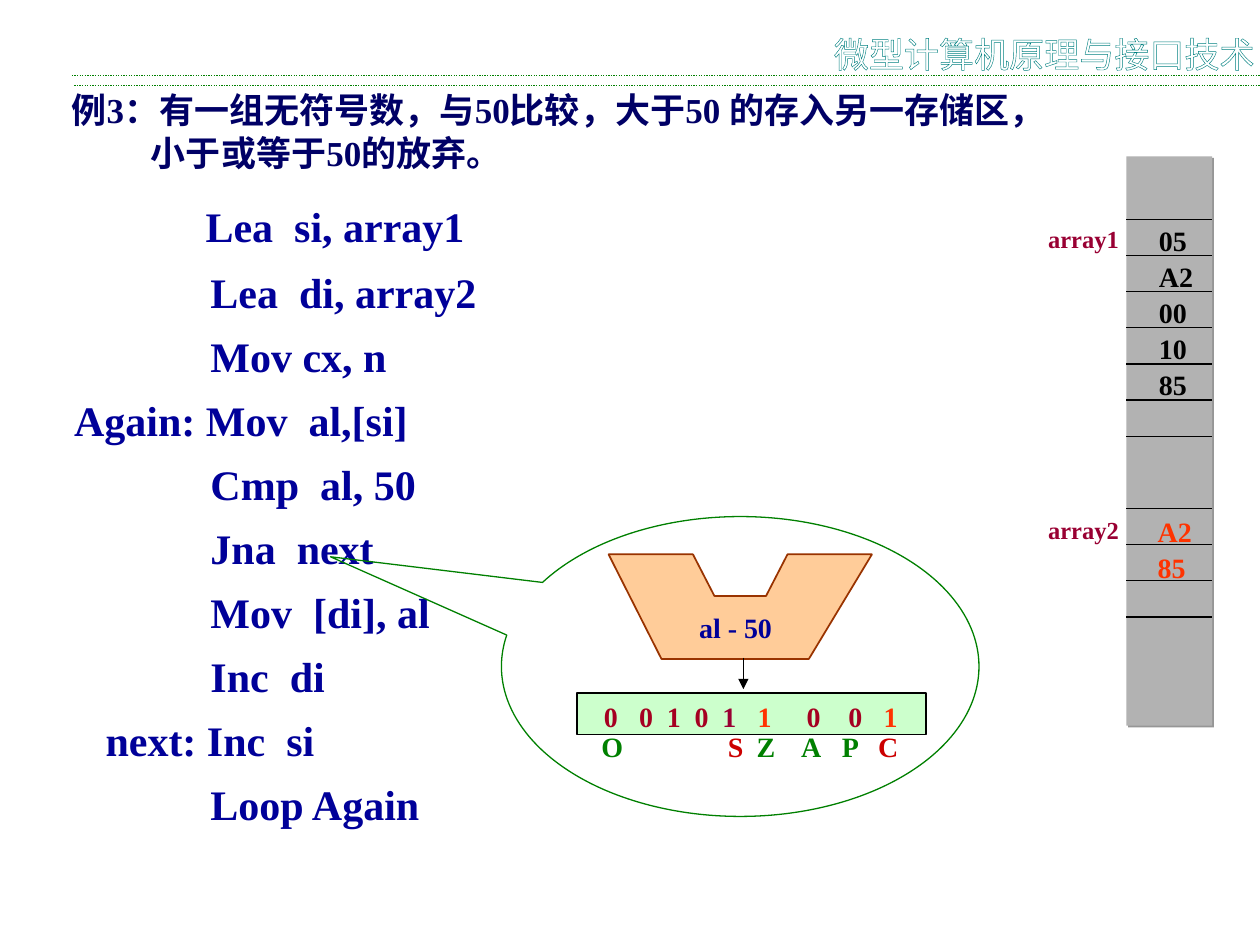
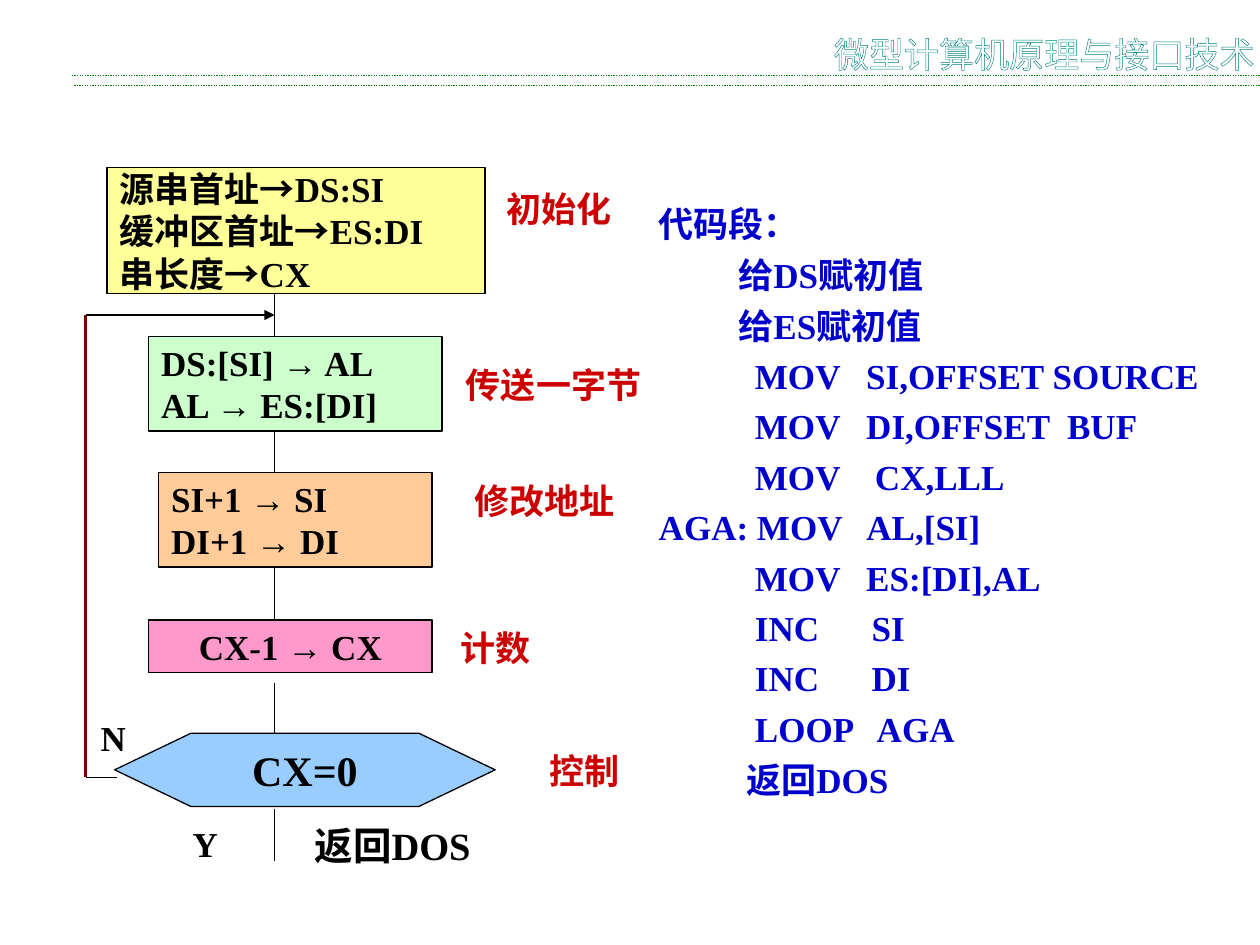
import pptx
import pptx.util
import pptx.dml.color
import pptx.enum.dml
import pptx.enum.shapes
import pptx.enum.text
import pptx.oxml
import pptx.oxml.ns
from lxml import etree

Inches = pptx.util.Inches
Pt = pptx.util.Pt
SHAPE = pptx.enum.shapes.MSO_SHAPE
ALIGN = pptx.enum.text.PP_ALIGN
ANCHOR = pptx.enum.text.MSO_ANCHOR
qn = pptx.oxml.ns.qn

THEME = {
    "serif": "Times New Roman", "sans": "Noto Sans CJK SC",
    "ink": "000000", "white": "FFFFFF", "rule": "008000", "course": "008080",
    "heading": "000066", "assembly": "000099", "listing": "0000CC",
    "array": "990033", "stored": "FF3300", "bit": "A50021", "stage": "CC0000",
    "memory": "B2B2B2", "memory_shadow": "969696", "loop": "800000",
    "alu": "FFCC99", "alu_edge": "993300", "green": "CCFFCC",
    "yellow": "FFFF99", "pink": "FF99CC", "blue": "99CCFF",
    "small": 14, "cell": 16, "body": 20, "exit": 22, "large": 24,
    "thin": 0.75, "medium": 1, "thick": 1.5, "line_height": 1.21,
}

COURSE = "微型计算机原理与接口技术"
RULES = [(0.59, 0.68), (0.57, 0.6)]

HEADING = ["例3：有一组无符号数，与50比较，大于50 的存入另一存储区，", "小于或等于50的放弃。"]
COMPARE_CODE = [
    [("               ", "body"), ("Lea  si, array1", "large")],
    "             Lea  di, array2",
    "             Mov cx, n",
    "Again: Mov  al,[si]",
    "             Cmp  al, 50",
    "             Jna  next",
    "             Mov  [di], al",
    "             Inc  di",
    "   next: Inc  si",
    "             Loop Again",
]
ALU_LABEL = "al - 50"
ALU_OUTLINE = [(4.83, 4.4), (5.5, 4.4), (5.67, 4.73), (6.08, 4.73),
               (6.25, 4.4), (6.92, 4.4), (6.42, 5.23), (5.25, 5.23)]
FLAG_BITS = [("0", 4.85, "bit"), ("0", 5.13, "bit"), ("1", 5.35, "bit"),
             ("0", 5.57, "bit"), ("1", 5.79, "array"), ("1", 6.07, "stored"),
             ("0", 6.46, "bit"), ("0", 6.79, "bit"), ("1", 7.07, "stored")]
FLAG_NAMES = [("O", 4.86, "rule"), ("S", 5.84, "stage"), ("Z", 6.08, "rule"),
              ("A", 6.44, "rule"), ("P", 6.75, "rule"), ("C", 7.05, "stage")]
MEMORY = {"left": 8.94, "top": 1.24, "width": 0.68, "height": 4.52,
          "first_line": 1.74, "pitch": 0.287, "lines": [0, 1, 2, 3, 4, 5, 6, 8, 9, 10, 11]}
ARRAYS = [
    ("array1", 1.73, (9.1, 1.83, 0.5, 1.68), ["05", "A2", "00", "10", "85"], "ink"),
    ("array2", 4.04, (9.09, 4.14, 0.5, 0.82), ["A2", "85"], "stored"),
]

STAGES = [
    {"at": (0.85, 1.33, 3, 1), "fill": "yellow", "gap": 0,
     "steps": ["源串首址→DS:SI", "缓冲区首址→ES:DI", "串长度→CX"],
     "label": "初始化", "label_at": (3.92, 1.44, 1.2, 0.44)},
    {"at": (1.18, 2.67, 2.33, 0.75), "fill": "green", "gap": 0,
     "steps": ["DS:[SI] → AL", "AL → ES:[DI]"],
     "label": "传送一字节", "label_at": (3.6, 2.83, 1.7, 0.44)},
    {"at": (1.26, 3.75, 2.17, 0.75), "fill": "alu", "gap": 0,
     "steps": ["SI+1 → SI", "DI+1 → DI"],
     "label": "修改地址", "label_at": (3.67, 3.75, 1.4, 0.44)},
    {"at": (1.18, 4.92, 2.25, 0.42), "fill": "pink", "gap": 0.08,
     "steps": ["CX-1 → CX"], "align": ALIGN.CENTER,
     "label": "计数", "label_at": (3.56, 4.92, 0.87, 0.44)},
    {"at": (0.91, 5.82, 3.02, 0.58), "fill": "blue", "gap": 0.02,
     "steps": ["CX=0"], "align": ALIGN.CENTER, "size": "large",
     "kind": SHAPE.FLOWCHART_PREPARATION,
     "label": "控制", "label_at": (4.26, 5.9, 0.87, 0.44)},
]
FLOW_X, FLOW_END = 2.18, 6.83
LOOP_X, LOOP_TOP, LOOP_BOTTOM = 0.68, 2.5, 6.17
EXITS = [("N", (0.7, 5.64, 0.45, 0.44), "body"),
         ("Y", (1.43, 6.48, 0.45, 0.44), "body"),
         ("返回DOS", (2.4, 6.47, 1.7, 0.47), "exit")]
MOVE_CODE = [
    "代码段：",
    "          给DS赋初值",
    "          给ES赋初值",
    "           MOV   SI,OFFSET SOURCE",
    "           MOV   DI,OFFSET  BUF",
    "           MOV    CX,LLL",
    "AGA: MOV   AL,[SI]",
    "           MOV   ES:[DI],AL",
    "           INC      SI",
    "           INC      DI",
    "           LOOP   AGA",
    "           返回DOS",
]


def color(role):
    return pptx.dml.color.RGBColor.from_string(THEME[role])


def apply(target, values):
    for key, value in values.items():
        setattr(target, key, value)


def inches(values):
    return [Inches(value) for value in values]


def write_run(paragraph, text, size, role, face="serif", bold=True):
    run = paragraph.add_run()
    run.text = text
    apply(run.font, {"size": Pt(THEME[size]), "bold": bold, "name": THEME[face]})
    run.font.color.rgb = color(role)
    east_asian = etree.SubElement(run.font._element, qn("a:ea"))
    east_asian.set("typeface", THEME["sans"])
    return run


def fit_spacing(line, size, factor):
    if any("一" <= letter <= "龥" for letter in line):
        return Pt(round(THEME[size] * THEME["line_height"] * (factor or 1), 1))
    return factor


def write(frame, lines, size, role, wrap=False, spacing=None, first_spacing=None,
          before=0, align=ALIGN.LEFT, anchor=ANCHOR.TOP):
    apply(frame, {"word_wrap": wrap, "vertical_anchor": anchor,
                  "margin_left": Inches(0.1), "margin_right": Inches(0.1),
                  "margin_top": Inches(0.05), "margin_bottom": Inches(0.05)})
    for index, line in enumerate(lines):
        paragraph = frame.add_paragraph() if index else frame.paragraphs[0]
        factor = spacing if index else first_spacing or spacing
        runs = [(line, size)] if isinstance(line, str) else line
        apply(paragraph, {"alignment": align,
                          "space_before": Pt(before if index else 0),
                          "line_spacing": fit_spacing(runs[0][0], size, factor)})
        for text, run_size in runs:
            write_run(paragraph, text, run_size, role)


def add_text(slide, at, lines, size, role, **layout):
    box = slide.shapes.add_textbox(*inches(at))
    write(box.text_frame, lines, size, role, **layout)
    return box


def paint(shape, fill=None, edge="ink", width="thin"):
    shape.shadow.inherit = False
    if fill:
        shape.fill.solid()
        shape.fill.fore_color.rgb = color(fill)
    else:
        shape.fill.background()
    if edge:
        shape.line.color.rgb = color(edge)
        shape.line.width = Pt(THEME[width])
    else:
        shape.line.fill.background()
    return shape


def add_line(slide, start, end, role="ink", width="thin", arrow=False, dash=None):
    line = slide.shapes.add_connector(
        pptx.enum.shapes.MSO_CONNECTOR.STRAIGHT, *inches(start + end))
    line.line.color.rgb = color(role)
    line.line.width = Pt(THEME[width])
    if dash:
        line.line.dash_style = dash
    if arrow:
        etree.SubElement(line.line._get_or_add_ln(), qn("a:tailEnd")).set("type", "triangle")
    etree.SubElement(line._element.spPr, qn("a:effectLst"))


def add_header(slide):
    for left, y in RULES:
        add_line(slide, (left, y), (10, y), "rule",
                 dash=pptx.enum.dml.MSO_LINE.ROUND_DOT)
    box = slide.shapes.add_textbox(*inches((6.52, 0.21, 3.48, 0.44)))
    apply(box.text_frame, {"word_wrap": False, "margin_right": 0})
    run = write_run(box.text_frame.paragraphs[0], COURSE, "body", "white", "sans", False)
    outline = etree.Element(qn("a:ln"), w=str(Pt(THEME["thin"])))
    fill = etree.SubElement(outline, qn("a:solidFill"))
    etree.SubElement(fill, qn("a:srgbClr")).set("val", THEME["course"])
    run.font._element.insert(0, outline)


def add_flags(slide, top, flags):
    left = 4.4
    box = slide.shapes.add_textbox(*inches((left, top, 2.95, 0.37)))
    box.text_frame.word_wrap = True
    paragraph = box.text_frame.paragraphs[0]
    stops = etree.SubElement(paragraph._p.get_or_add_pPr(), qn("a:tabLst"))
    for text, center, role in flags:
        stop = etree.SubElement(stops, qn("a:tab"))
        stop.set("pos", str(Inches(center - left - 0.1)))
        stop.set("algn", "ctr")
        write_run(paragraph, "\t" + text, "cell", role)


def add_memory(slide):
    left, width = MEMORY["left"], MEMORY["width"]
    block = paint(slide.shapes.add_shape(SHAPE.RECTANGLE, *inches(
        (left, MEMORY["top"], width, MEMORY["height"]))), "memory", None)
    shadow = etree.SubElement(block._element.spPr.find(qn("a:effectLst")), qn("a:outerShdw"))
    for key, value in {"dist": Pt(1.4), "dir": 45 * 60000, "algn": "ctr",
                       "rotWithShape": 0}.items():
        shadow.set(key, str(value))
    etree.SubElement(shadow, qn("a:srgbClr")).set("val", THEME["memory_shadow"])
    for row in MEMORY["lines"]:
        y = MEMORY["first_line"] + row * MEMORY["pitch"]
        add_line(slide, (left, y), (left + width, y))
    for name, name_top, cells_at, cells, role in ARRAYS:
        add_text(slide, cells_at, cells, "cell", role, wrap=True, spacing=0.55, before=10)
        add_text(slide, (8.22, name_top, 0.76, 0.34), [name], "small", "array")


def build_compare(slide):
    heading = add_text(slide, (0.47, 0.65, 8.6, 0.78), HEADING, "body", "heading",
                       wrap=True, spacing=0.5, first_spacing=1.0, before=12.5)
    heading.text_frame.paragraphs[1]._p.get_or_add_pPr().set("marL", str(Inches(0.63)))
    add_text(slide, (0.49, 1.59, 4.77, 5.55), COMPARE_CODE, "large", "assembly",
             wrap=True, spacing=0.75, first_spacing=0.9, before=15)

    builder = slide.shapes.build_freeform(*inches(ALU_OUTLINE[0]))
    builder.add_line_segments([inches(point) for point in ALU_OUTLINE[1:]], close=True)
    paint(builder.convert_to_shape(), "alu", "alu_edge", "medium")
    add_text(slide, (5.45, 4.8, 0.78, 0.37), [ALU_LABEL], "cell", "assembly")
    add_line(slide, (5.9, 5.22), (5.9, 5.47), arrow=True)
    paint(slide.shapes.add_shape(SHAPE.RECTANGLE, *inches((4.58, 5.5, 2.77, 0.33))), "green")
    add_flags(slide, 5.74, FLAG_NAMES)
    add_flags(slide, 5.5, FLAG_BITS)
    callout = paint(slide.shapes.add_shape(
        SHAPE.OVAL_CALLOUT, *inches((3.98, 4.1, 3.79, 2.38))), None, "rule")
    for index, value in enumerate((-0.858, -0.366)):
        callout.adjustments[index] = value
    add_memory(slide)


def build_move(slide):
    next_tops = [stage["at"][1] for stage in STAGES[1:]] + [FLOW_END]
    for stage, next_top in zip(STAGES, next_tops):
        step = paint(slide.shapes.add_shape(
            stage.get("kind", SHAPE.RECTANGLE), *inches(stage["at"])), stage["fill"])
        write(step.text_frame, stage["steps"], stage.get("size", "body"), "ink",
              align=stage.get("align", ALIGN.LEFT), anchor=ANCHOR.MIDDLE)
        bottom = stage["at"][1] + stage["at"][3]
        add_line(slide, (FLOW_X, bottom + stage["gap"]), (FLOW_X, next_top))
        add_text(slide, stage["label_at"], [stage["label"]], "body", "stage", wrap=True)

    add_line(slide, (LOOP_X, LOOP_BOTTOM), (LOOP_X, LOOP_TOP), "loop", "thick")
    add_line(slide, (0.93, LOOP_BOTTOM), (LOOP_X, LOOP_BOTTOM))
    add_line(slide, (LOOP_X, LOOP_TOP), (FLOW_X, LOOP_TOP), arrow=True)
    for text, at, size in EXITS:
        add_text(slide, at, [text], size, "ink", wrap=True)
    add_text(slide, (5.13, 1.49, 4.87, 4.9), MOVE_CODE, "body", "listing",
             wrap=True, spacing=1.2)


def main():
    deck = pptx.Presentation()
    apply(deck, {"slide_width": Inches(10), "slide_height": Inches(7.5)})
    for build in (build_compare, build_move):
        slide = deck.slides.add_slide(deck.slide_layouts[6])
        add_header(slide)
        build(slide)
    deck.save("out.pptx")


if __name__ == "__main__":
    main()
